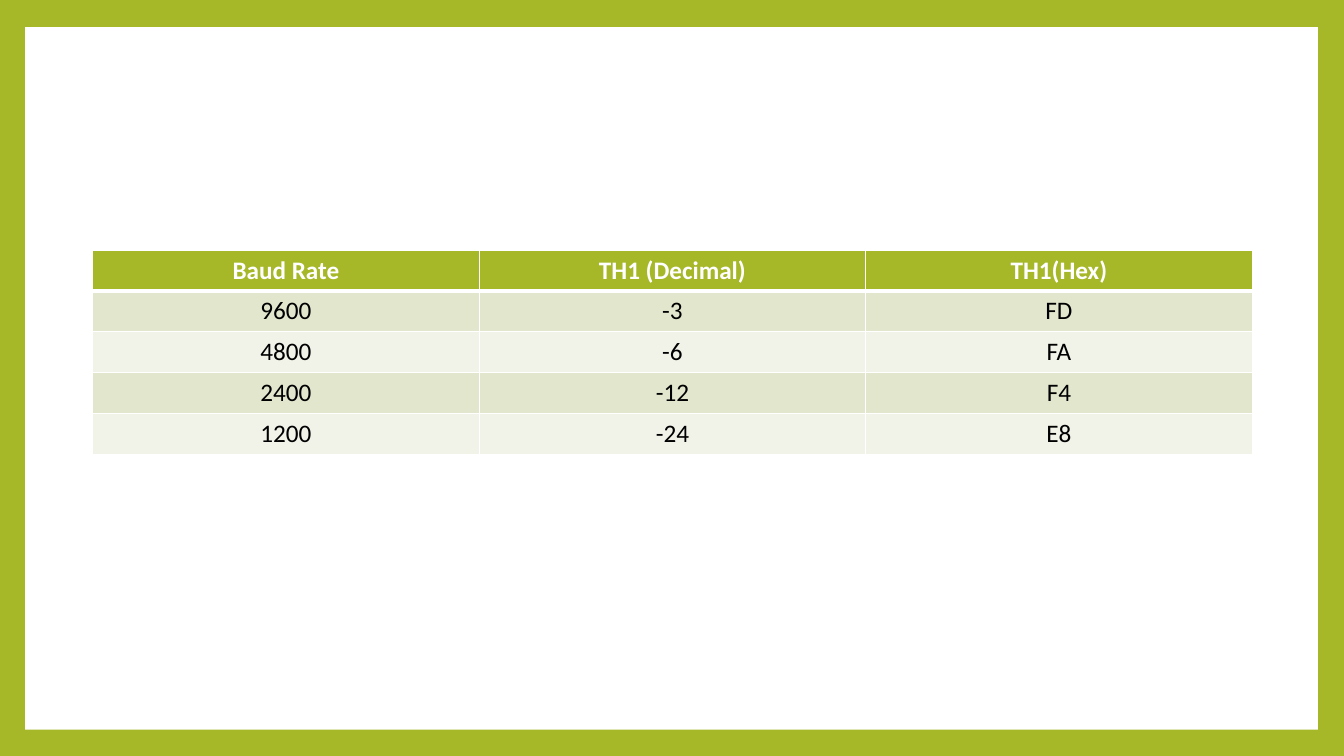
from lxml import etree
from pptx import Presentation, util as u
from pptx.dml.color import RGBColor
from pptx.enum import shapes, text
from pptx.oxml import ns

HUES = {"green": "A6B727", "white": "FFFFFF", "black": "000000",
        "dark": "E1E6CD", "pale": "F1F3E8"}
RATES = [
    ("Baud Rate", "TH1 (Decimal)", "TH1(Hex)"),
    ("9600", "-3", "FD"),
    ("4800", "-6", "FA"),
    ("2400", "-12", "F4"),
    ("1200", "-24", "E8"),
]


def hue(name):
    return RGBColor.from_string(HUES[name])


def paint(fill, name):
    fill.solid()
    fill.fore_color.rgb = hue(name)


def rule(cell, side, width):
    """Draw a white border on one side (L, R, T or B), width in points."""
    line = etree.SubElement(cell._tc.get_or_add_tcPr(), ns.qn("a:ln" + side),
                            w=str(u.Pt(width)))
    fill = etree.SubElement(line, ns.qn("a:solidFill"))
    etree.SubElement(fill, ns.qn("a:srgbClr"), val=HUES["white"])


def add_frame(slide, box):
    """Fill the slide with green and lay the white panel on it."""
    paint(slide.background.fill, "green")
    panel = slide.shapes.add_shape(shapes.MSO_SHAPE.RECTANGLE, *box)
    panel.shadow.inherit = False
    paint(panel.fill, "white")
    panel.line.fill.background()


def fill_cell(cell, words, row):
    head = row == 0
    for side in "LRTB":
        thick = (head and side == "B") or (row == 1 and side == "T")
        rule(cell, side, 3 if thick else 1)
    paint(cell.fill, "green" if head else "dark" if row % 2 else "pale")
    para = cell.text_frame.paragraphs[0]
    para.alignment = text.PP_ALIGN.CENTER
    run = para.add_run()
    run.text = words
    run.font.name = "Calibri"
    run.font.size = u.Pt(18)
    run.font.bold = head
    run.font.color.rgb = hue("white" if head else "black")


def add_rates(slide, box):
    left, top, width, height = box
    rows, cols = len(RATES), len(RATES[0])
    table = slide.shapes.add_table(rows, cols, left, top, width, height).table
    for col in table.columns:
        col.width = width // cols
    for row, line in enumerate(RATES):
        table.rows[row].height = height // rows
        for col, words in enumerate(line):
            fill_cell(table.cell(row, col), words, row)


def main():
    deck = Presentation()
    deck.slide_width, deck.slide_height = u.Inches(13.33), u.Inches(7.5)
    slide = deck.slides.add_slide(deck.slide_layouts[6])
    add_frame(slide, [u.Inches(n) for n in (0.25, 0.27, 12.82, 6.97)])
    add_rates(slide, [u.Inches(n) for n in (0.92, 2.48, 11.5, 2.03)])
    deck.save("out.pptx")


if __name__ == "__main__":
    main()
